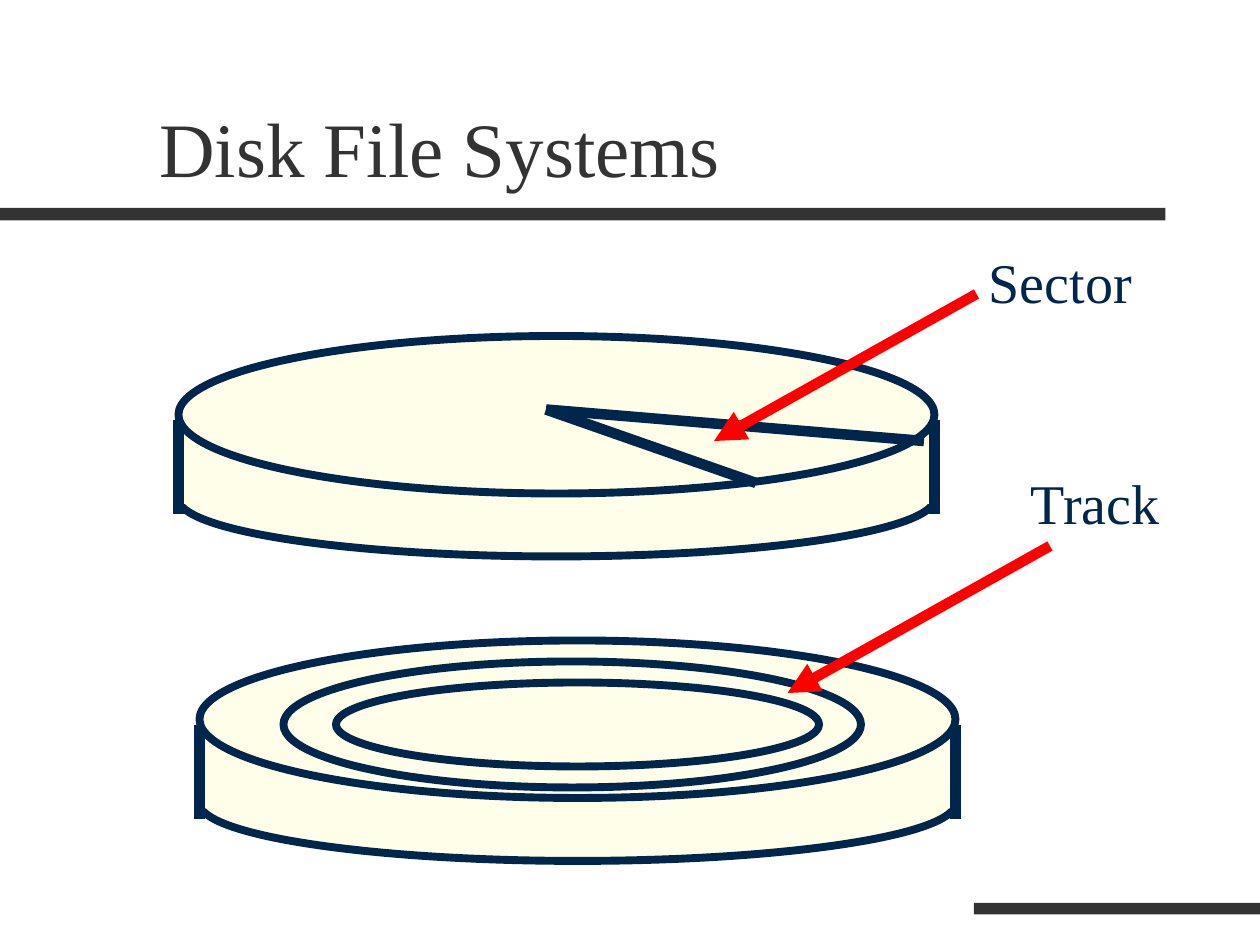
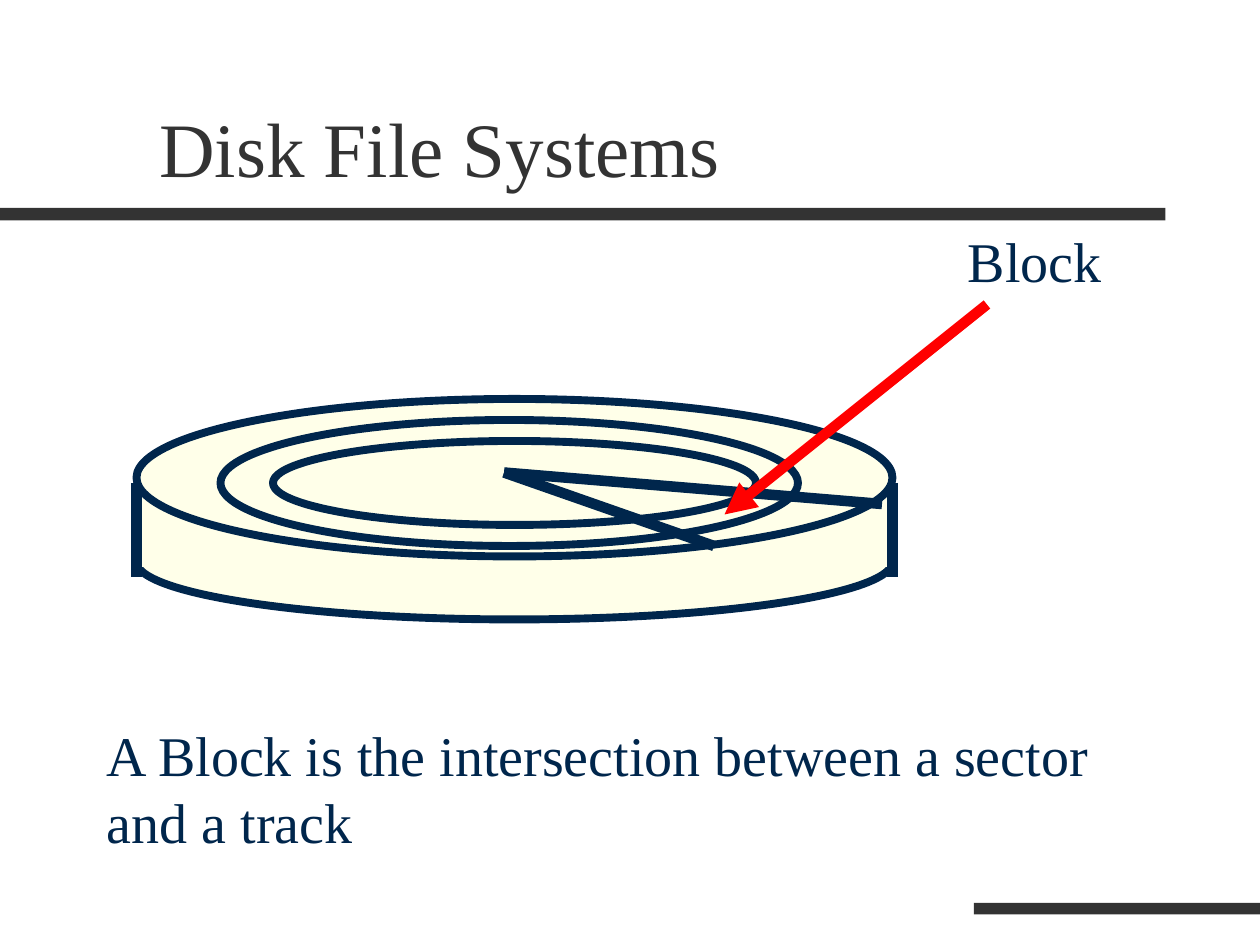
import pptx
import pptx.dml.color
import pptx.enum.shapes
import pptx.enum.text
import pptx.util
from lxml import etree
from pptx.oxml.ns import qn

COLS, ROWS = 120, 90
INK = {"bar": "333333", "edge": "00264C", "face": "FFFFE9", "arrow": "FF0000"}
FONT = "Times New Roman"
KIND = pptx.enum.shapes.MSO_SHAPE
ANCHOR = pptx.enum.text.MSO_ANCHOR
TITLE = {"size": 44, "ink": "bar", "anchor": ANCHOR.BOTTOM}
LABEL = {"size": 32, "ink": "edge", "anchor": ANCHOR.TOP}
RIM, RULE = 4.5, 6
WIDE = 72


def tint(name):
    return pptx.dml.color.RGBColor.from_string(INK[name])


def apply(item, values):
    for name, value in values.items():
        setattr(item, name, value)


class Deck:
    def __init__(self):
        self.file = pptx.Presentation()
        apply(self.file, {"slide_width": pptx.util.Inches(10),
                          "slide_height": pptx.util.Inches(7.5)})
        self.slide = None

    def grid(self, *cells):
        """Turn alternating columns and rows into lengths."""
        units = (self.file.slide_width / COLS, self.file.slide_height / ROWS)
        return [round(cell * units[i % 2]) for i, cell in enumerate(cells)]

    def page(self, title):
        self.slide = self.file.slides.add_slide(self.file.slide_layouts[6])
        self.shape(KIND.RECTANGLE, (0, 19.8, 111, 1.2), "bar")
        self.shape(KIND.RECTANGLE, (92.75, 86, 27.25, 1.1), "bar")
        self.text(title, (14, 4, 102, 15), TITLE)

    def shape(self, kind, box, fill, edge=None):
        shape = self.slide.shapes.add_shape(kind, *self.grid(*box))
        shape.shadow.inherit = False
        shape.fill.solid()
        shape.fill.fore_color.rgb = tint(fill)
        if edge:
            shape.line.color.rgb = tint(edge)
            shape.line.width = pptx.util.Pt(RIM)
        else:
            shape.line.fill.background()

    def oval(self, *box):
        self.shape(KIND.OVAL, box, "face", "edge")

    def line(self, start, end, ink="edge", tip=False):
        link = self.slide.shapes.add_connector(
            pptx.enum.shapes.MSO_CONNECTOR.STRAIGHT, *self.grid(*start, *end))
        link.line.color.rgb = tint(ink)
        link.line.width = pptx.util.Pt(RULE)
        props = link._element.spPr
        if tip:
            etree.SubElement(props.find(qn("a:ln")), qn("a:tailEnd"), type="triangle")
        etree.SubElement(props, qn("a:effectLst"))

    def text(self, words, box, style):
        frame = self.slide.shapes.add_textbox(*self.grid(*box)).text_frame
        apply(frame, {"word_wrap": True, "vertical_anchor": style["anchor"]})
        run = frame.paragraphs[0].add_run()
        run.text = words
        apply(run.font, {"name": FONT, "size": pptx.util.Pt(style["size"])})
        run.font.color.rgb = tint(style["ink"])

    def disk(self, x, y):
        self.oval(x, y + 10, WIDE, 11)
        self.shape(KIND.RECTANGLE, (x, y + 8, WIDE, 8), "face")
        self.oval(x, y, WIDE, 15)
        for side in (x, x + WIDE):
            self.line((side, y + 8), (side, y + 17))

    def track(self, x, y):
        """Draw the two rings that bound a track of the disk at x, y."""
        self.oval(x + 8, y + 2, 55, 12)
        self.oval(x + 13, y + 4, 46, 8)

    def sector(self, x, y):
        """Draw the two radii that bound a sector of the disk at x, y."""
        for across, down in ((55, 14), (71, 10)):
            self.line((x + 35, y + 7), (x + across, y + down))

    def label(self, words, place, start, end):
        self.line(start, end, "arrow", tip=True)
        self.text(words, (*place, 23, 7.7), LABEL)


def main():
    deck = Deck()
    title = "Disk File Systems"

    deck.page(title)
    upper, lower = (17, 32), (19, 61)
    deck.disk(*upper)
    deck.sector(*upper)
    deck.label("Sector", (93, 23), (93, 28), (68, 42))
    deck.disk(*lower)
    deck.track(*lower)
    deck.label("Track", (97, 44), (100, 52), (75, 66))

    deck.page(title)
    whole = (13, 38)
    deck.disk(*whole)
    deck.track(*whole)
    deck.sector(*whole)
    deck.label("Block", (91, 21), (94, 29), (69, 49))
    deck.text("A Block is the intersection between a sector and a track",
              (9, 68, 101, 14), LABEL)

    deck.file.save("out.pptx")


if __name__ == "__main__":
    main()
